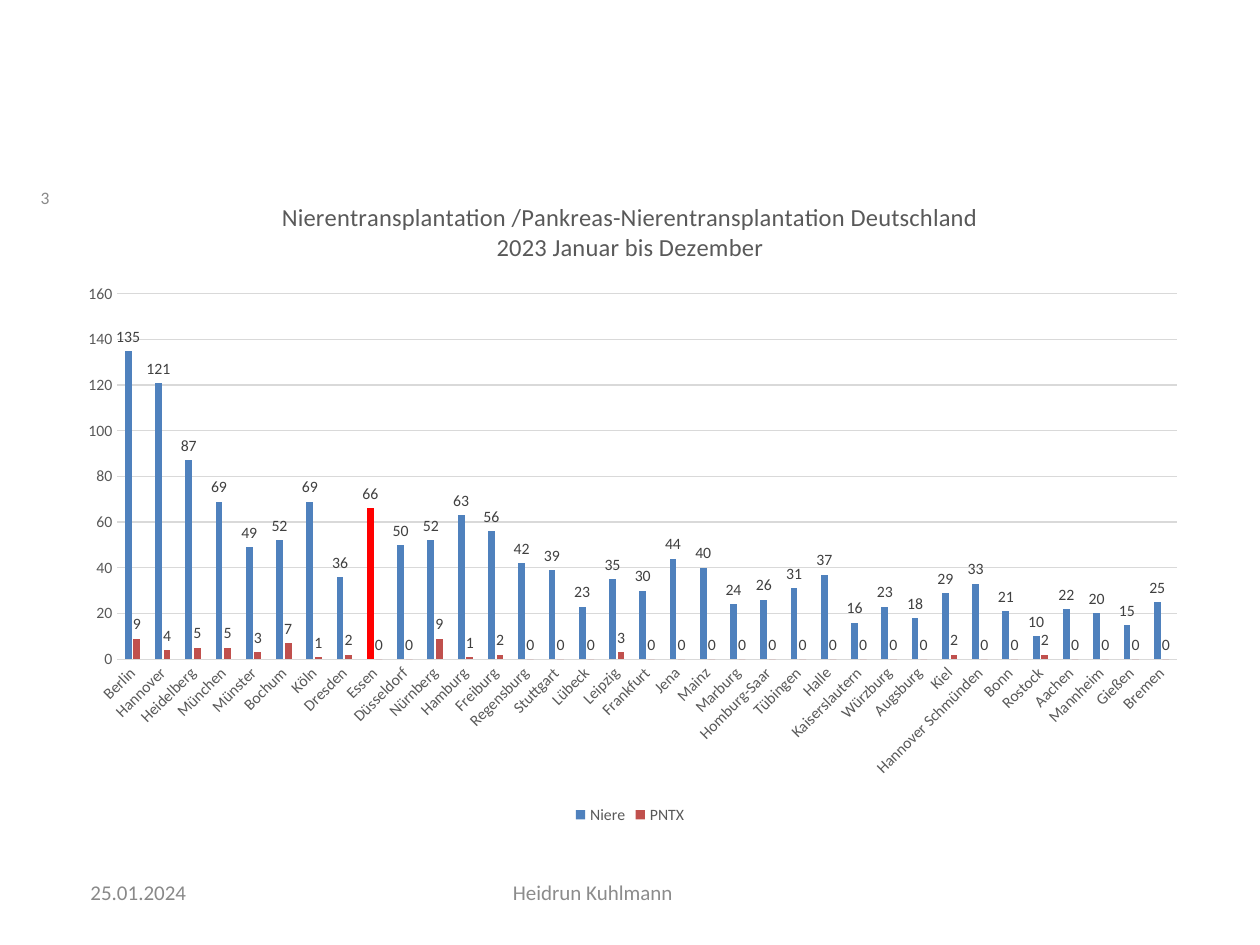
from lxml import etree
from pptx import Presentation
from pptx.chart.data import CategoryChartData
from pptx.dml.color import RGBColor
from pptx.enum.chart import XL_CHART_TYPE, XL_LABEL_POSITION, XL_LEGEND_POSITION, XL_TICK_MARK
from pptx.enum.text import MSO_ANCHOR, PP_ALIGN
from pptx.oxml.ns import qn
from pptx.util import Pt

COLUMN = XL_CHART_TYPE.COLUMN_CLUSTERED
OUTSIDE = XL_LABEL_POSITION.OUTSIDE_END
BOTTOM = XL_LEGEND_POSITION.BOTTOM
NO_TICK = XL_TICK_MARK.NONE
MIDDLE = MSO_ANCHOR.MIDDLE
LEFT, CENTER, RIGHT = PP_ALIGN.LEFT, PP_ALIGN.CENTER, PP_ALIGN.RIGHT

FONT = "Calibri"
GREY, DARK, PALE, RED = "595959", "404040", "D9D9D9", "FF0000"
TITLE = ["Nierentransplantation /Pankreas-Nierentransplantation Deutschland",
         "2023 Januar bis Dezember"]
SERIES = {"Niere": "4F81BD", "PNTX": "C0504D"}
MARKED = "Essen"
CENTERS = [
    ("Berlin", 135, 9), ("Hannover", 121, 4), ("Heidelberg", 87, 5),
    ("München", 69, 5), ("Münster", 49, 3), ("Bochum", 52, 7),
    ("Köln", 69, 1), ("Dresden", 36, 2), ("Essen", 66, 0),
    ("Düsseldorf", 50, 0), ("Nürnberg", 52, 9), ("Hamburg", 63, 1),
    ("Freiburg", 56, 2), ("Regensburg", 42, 0), ("Stuttgart", 39, 0),
    ("Lübeck", 23, 0), ("Leipzig", 35, 3), ("Frankfurt", 30, 0),
    ("Jena", 44, 0), ("Mainz", 40, 0), ("Marburg", 24, 0),
    ("Homburg-Saar", 26, 0), ("Tübingen", 31, 0), ("Halle", 37, 0),
    ("Kaiserslautern", 16, 0), ("Würzburg", 23, 0), ("Augsburg", 18, 0),
    ("Kiel", 29, 2), ("Hannover Schmünden", 33, 0), ("Bonn", 21, 0),
    ("Rostock", 10, 2), ("Aachen", 22, 0), ("Mannheim", 20, 0),
    ("Gießen", 15, 0), ("Bremen", 25, 0),
]
NOTES = [
    ("25.01.2024", (44.64, 495.36, 167.76, 28.8), 12, "898989", LEFT),
    ("Heidrun Kuhlmann", (224.64, 495.36, 228.24, 28.8), 12, "8C8C8C", CENTER),
    ("3", (0, 95.76, 35.28, 34.56), 10, "898989", RIGHT),
]
CHART = (34.56, 100.8, 650.88, 372.96)
PLOT = {"x": 0.05, "y": 0.18, "w": 0.93, "h": 0.56}


def color(code):
    return RGBColor.from_string(code)


def style(font, size, code):
    font.name, font.size, font.bold = FONT, Pt(size), False
    font.color.rgb = color(code)


def paint(fill, code):
    fill.solid()
    fill.fore_color.rgb = color(code)


def rule(line):
    line.width = Pt(0.75)
    paint(line.fill, PALE)


def write(frame, lines, size=12, code=GREY, align=LEFT):
    for num, text in enumerate(lines):
        para = frame.add_paragraph() if num else frame.paragraphs[0]
        para.alignment = align
        run = para.add_run()
        run.text = text
        style(run.font, size, code)


def place_plot(chart):
    area = chart._chartSpace.chart.plotArea
    for old in area.findall(qn("c:layout")):
        area.remove(old)
    layout = etree.Element(qn("c:layout"))
    area.insert(0, layout)
    manual = etree.SubElement(layout, qn("c:manualLayout"))
    parts = {"layoutTarget": "inner", "xMode": "edge", "yMode": "edge", **PLOT}
    for tag, val in parts.items():
        etree.SubElement(manual, qn("c:" + tag)).set("val", str(val))


def add_chart(slide):
    data = CategoryChartData()
    names, *columns = zip(*CENTERS)
    data.categories = names
    for name, vals in zip(SERIES, columns):
        data.add_series(name, vals)
    chart = slide.shapes.add_chart(COLUMN, *map(Pt, CHART), data).chart
    style(chart.font, 10, "000000")
    chart.has_title = True
    write(chart.chart_title.text_frame, TITLE, size=14, align=CENTER)
    chart.chart_title.include_in_layout = False
    chart.has_legend = True
    chart.legend.position = BOTTOM
    chart.legend.include_in_layout = False
    style(chart.legend.font, 9, GREY)

    cats, vals = chart.category_axis, chart.value_axis
    for axis in (cats, vals):
        axis.major_tick_mark = axis.minor_tick_mark = NO_TICK
        style(axis.tick_labels.font, 9, GREY)
    rule(cats.format.line)
    cats._element.txPr.bodyPr.set("rot", "-2700000")
    vals.minimum_scale, vals.maximum_scale, vals.major_unit = 0, 160, 20
    vals.format.line.fill.background()
    rule(vals.major_gridlines.format.line)

    plot = chart.plots[0]
    plot.vary_by_categories = False
    plot.gap_width, plot.overlap = 219, -27
    for series, code in zip(plot.series, SERIES.values()):
        paint(series.format.fill, code)
        series.invert_if_negative = False
        labels = series.data_labels
        labels.show_value = True
        labels.position = OUTSIDE
        style(labels.font, 9, DARK)
    point = plot.series[0].points[names.index(MARKED)]
    paint(point.format.fill, RED)
    place_plot(chart)


def main():
    deck = Presentation()
    deck.slide_width, deck.slide_height = Pt(720), Pt(540)
    slide = deck.slides.add_slide(deck.slide_layouts[6])
    for text, box, size, code, align in NOTES:
        frame = slide.shapes.add_textbox(*map(Pt, box)).text_frame
        frame.word_wrap = True
        frame.vertical_anchor = MIDDLE
        write(frame, [text], size=size, code=code, align=align)
    add_chart(slide)
    deck.save("out.pptx")


if __name__ == "__main__":
    main()
